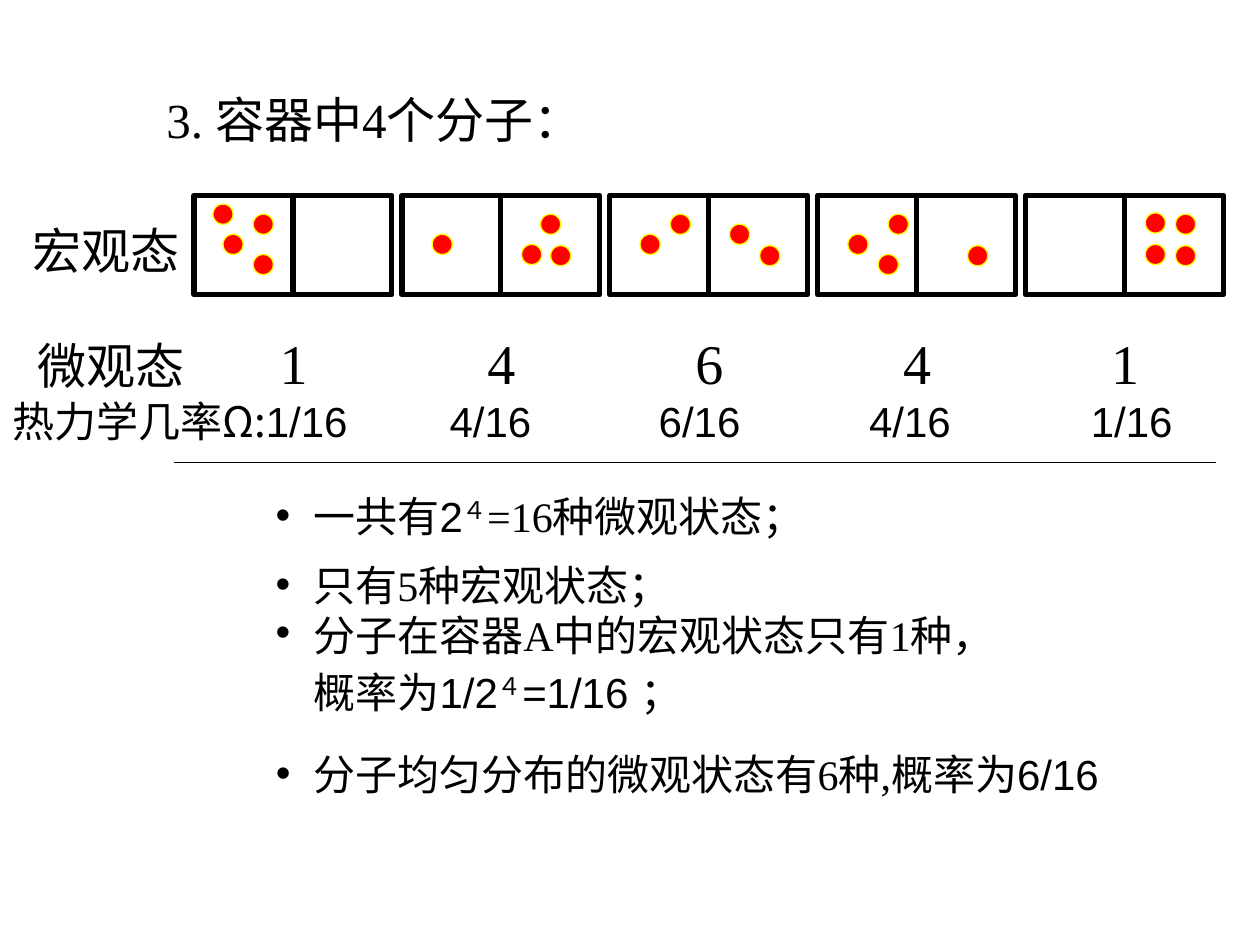
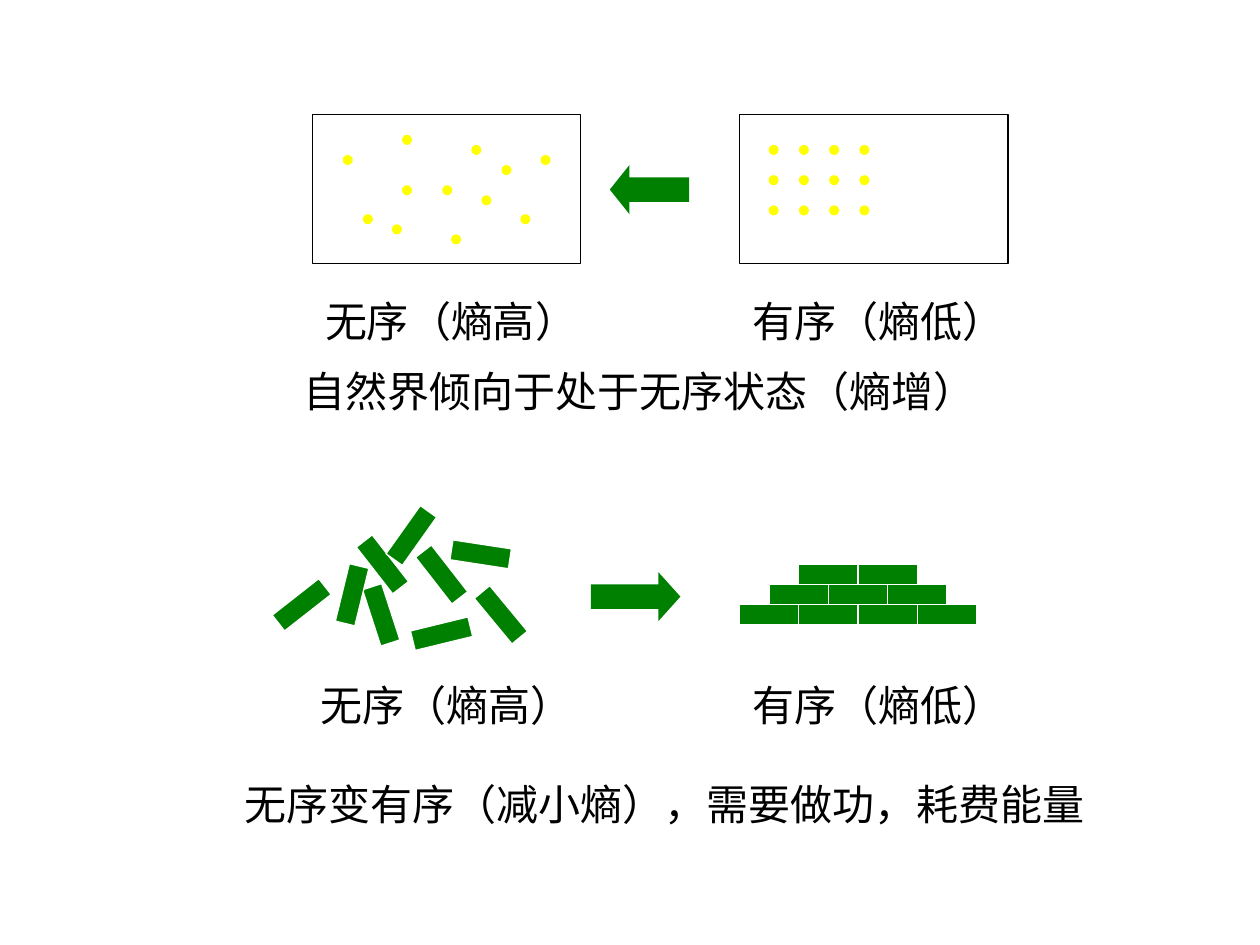
from lxml import etree
from pptx import Presentation
from pptx.dml.color import RGBColor
from pptx.enum.shapes import MSO_CONNECTOR, MSO_SHAPE as SHAPE
from pptx.enum.text import MSO_ANCHOR, MSO_AUTO_SIZE, PP_ALIGN
from pptx.oxml.ns import qn
from pptx.util import Inches, Pt

BLACK, WHITE, RED = "000000", "FFFFFF", "FF0000"
YELLOW, GREEN = "FFFF00", "008000"
TIMES, ARIAL, CJK = "Times New Roman", "Arial", "Noto Sans CJK SC"
LINE_SPACING = 1.3
TITLE_ONLY, BLANK = 5, 6

# Molecule offsets from the top left corner of each container
MACROSTATES = [
    [(0.15, 0.07), (0.23, 0.31), (0.47, 0.15), (0.47, 0.47)],
    [(0.24, 0.31), (1.10, 0.15), (0.95, 0.39), (1.18, 0.40)],
    [(0.24, 0.31), (0.48, 0.15), (0.95, 0.23), (1.19, 0.40)],
    [(0.24, 0.31), (0.56, 0.15), (0.48, 0.47), (1.19, 0.40)],
    [(0.95, 0.14), (1.19, 0.15), (0.95, 0.39), (1.19, 0.40)],
]
MICROSTATE_COUNTS = [1, 4, 6, 4, 1]
STATE_PITCH = 1.65

# Each bullet box: top, width, height, line spacing, paragraphs of runs
FINDINGS = [
    (3.72, 4.8, 0.62, 1.3, [[("一共有", TIMES), ("2", ARIAL), ("４", ARIAL, 30),
                             ("=16种微观状态；", TIMES)]]),
    (4.27, 4.8, 0.62, 1.3, [[("只有5种宏观状态；", TIMES)]]),
    (4.93, 6.3, 0.79, 0.6, [[("分子在容器A中的宏观状态只有1种，", TIMES)],
                            [("概率为1/2", ARIAL), ("４", ARIAL, 30),
                             ("=1/16 ", ARIAL), ("；", TIMES)]]),
    (5.77, 7.91, 0.62, 1.3, [[("分子均匀分布的微观状态有6种,", TIMES),
                              ("概率为6/16", ARIAL)]]),
]

DISORDERED = [("无序（熵高）", CJK)]
ORDERED = [("有序", CJK), ("（", ARIAL), ("熵低", CJK), ("）", ARIAL)]
SCATTERED_DOTS = [
    (2.72, 1.23), (2.88, 1.70), (3.19, 1.47), (3.74, 1.15), (3.51, 1.47), (4.13, 1.70),
    (3.19, 1.07), (3.98, 1.31), (3.82, 1.55), (3.11, 1.78), (3.58, 1.86), (4.29, 1.23),
]
# left, top, rotation
SCATTERED_BRICKS = [
    (2.16, 4.72, 321.9), (2.79, 4.80, 72), (3.27, 4.95, 346.3),
    (3.74, 4.80, 50.4), (2.56, 4.64, 283.7), (2.80, 4.40, 52.1),
    (3.58, 4.32, 8.7), (3.03, 4.17, 305.4), (3.27, 4.48, 52.1),
]
BRICK_W, BRICK_H = 0.47, 0.16


def rgb(value):
    return RGBColor.from_string(value)


def inches(*values):
    return [Inches(v) for v in values]


def add_run(p, size, text, font, baseline=0):
    r = p.add_run()
    r.text = text
    r.font.size = Pt(size)
    r.font.name = font
    r.font.color.rgb = rgb(BLACK)
    rPr = r.font._element
    if baseline:
        rPr.set("baseline", str(baseline * 1000))
    ea = etree.Element(qn("a:ea"), typeface=CJK)
    rPr.find(qn("a:latin")).addnext(ea)


def write_paragraph(p, runs, size, spacing=LINE_SPACING, align=PP_ALIGN.LEFT):
    p.line_spacing = spacing
    p.alignment = align
    for run in runs:
        add_run(p, size, *run)


def add_box(slide, at):
    tf = slide.shapes.add_textbox(*inches(*at)).text_frame
    tf.word_wrap = True
    return tf


def add_text(slide, at, runs, size=24, align=PP_ALIGN.LEFT):
    p = add_box(slide, at).paragraphs[0]
    write_paragraph(p, runs, size, align=align)
    return p


def add_title(slide, at, runs, size):
    sp = slide.shapes.title
    sp.left, sp.top, sp.width, sp.height = inches(*at)
    tf = sp.text_frame
    tf.vertical_anchor = MSO_ANCHOR.TOP
    tf.auto_size = MSO_AUTO_SIZE.NONE
    write_paragraph(tf.paragraphs[0], runs, size)


def set_indent(p, left, bullet):
    """Indent a paragraph, with a hanging bullet if asked."""
    pPr = p._p.get_or_add_pPr()
    pPr.set("marL", str(Inches(left)))
    pPr.set("indent", str(-Inches(left) if bullet else 0))
    if bullet:
        color = etree.SubElement(pPr, qn("a:buClr"))
        etree.SubElement(color, qn("a:srgbClr"), val=BLACK)
        etree.SubElement(pPr, qn("a:buFont"), typeface=ARIAL)
        etree.SubElement(pPr, qn("a:buChar"), char="•")


def set_tabs(p, positions):
    tabs = etree.SubElement(p._p.get_or_add_pPr(), qn("a:tabLst"))
    for pos in positions:
        etree.SubElement(tabs, qn("a:tab"), pos=str(Inches(pos)), algn="l")


def add_finding(slide, top, width, height, spacing, paragraphs):
    tf = add_box(slide, (2.09, top, width, height))
    for i, runs in enumerate(paragraphs):
        p = tf.add_paragraph() if i else tf.paragraphs[0]
        set_indent(p, 0.3, bullet=i == 0)
        if i:
            p.space_before = Pt(15)
        write_paragraph(p, runs, 24, spacing)


def add_shape(shapes, kind, at, fill=None, line=None, weight=0.75):
    sp = shapes.add_shape(kind, *inches(*at))
    sp.shadow.inherit = False
    if fill:
        sp.fill.solid()
        sp.fill.fore_color.rgb = rgb(fill)
    else:
        sp.fill.background()
    if line:
        sp.line.color.rgb = rgb(line)
        sp.line.width = Pt(weight)
    else:
        sp.line.fill.background()
    return sp


def add_line(shapes, start, end, weight):
    cxn = shapes.add_connector(MSO_CONNECTOR.STRAIGHT, *inches(*start, *end))
    cxn.line.color.rgb = rgb(BLACK)
    cxn.line.width = Pt(weight)
    etree.SubElement(cxn._element.spPr, qn("a:effectLst"))
    return cxn


def add_container(slide, left, top, molecules):
    """Draw a container split in two halves, with its molecules."""
    width, height = 1.57, 0.79
    group = slide.shapes.add_group_shape().shapes
    box = add_shape(group, SHAPE.RECTANGLE, (left, top, width, height), line=BLACK, weight=3)
    middle = left + width / 2
    divider = add_line(group, (middle, top), (middle, top + height), 3)
    divider.begin_connect(box, 0)
    divider.end_connect(box, 2)
    for dx, dy in molecules:
        add_shape(slide.shapes, SHAPE.OVAL, (left + dx, top + dy, 0.16, 0.16), RED, YELLOW)


def add_brick(group, left, top, rotation=0):
    sp = add_shape(group, SHAPE.RECTANGLE, (left, top, BRICK_W, BRICK_H), GREEN, WHITE)
    sp.rotation = rotation


def add_gas(slide, left, dots):
    """Draw a framed box with gas dots in it."""
    add_shape(slide.shapes, SHAPE.RECTANGLE, (left, 0.91, 2.13, 1.18), line=BLACK)
    for x, y in dots:
        add_shape(slide.shapes, SHAPE.OVAL, (x, y, 0.08, 0.08), YELLOW)


def add_arrow(slide, kind, at, head):
    sp = add_shape(slide.shapes, kind, at, GREEN)
    sp.adjustments[0], sp.adjustments[1] = 0.5, head


def build_macrostates(prs):
    slide = prs.slides.add_slide(prs.slide_layouts[TITLE_ONLY])
    add_title(slide, (1.22, 0.52, 7.1, 0.71), [("3. 容器中4个分子：", TIMES)], 28)

    add_text(slide, (0.16, 1.56, 1.65, 0.71), [("宏观态", TIMES)], 28)
    add_text(slide, (0.2, 2.47, 1.65, 0.71), [("微观态", TIMES)], 28)
    for i, (molecules, count) in enumerate(zip(MACROSTATES, MICROSTATE_COUNTS)):
        shift = i * STATE_PITCH
        add_container(slide, 1.54 + shift, 1.55, molecules)
        add_text(slide, (2.12 + shift, 2.4, 0.92, 0.8), [(str(count), TIMES)], 32)

    odds = "\t".join(f"{n}/16" for n in MICROSTATE_COUNTS)
    p = add_text(slide, (0, 2.97, 9.8, 0.62),
                 [("热力学几率", TIMES), ("Ω:", CJK), (odds, ARIAL)])
    set_tabs(p, [3.47, 5.13, 6.8, 8.56])
    add_line(slide.shapes, (1.38, 3.67), (9.65, 3.67), 0.75)

    for finding in FINDINGS:
        add_finding(slide, *finding)


def build_entropy(prs):
    slide = prs.slides.add_slide(prs.slide_layouts[BLANK])
    lattice = [(6.1 + 0.24 * col, 1.15 + 0.24 * row) for col in range(4) for row in range(3)]
    add_gas(slide, 2.48, SCATTERED_DOTS)
    add_gas(slide, 5.87, lattice)
    add_arrow(slide, SHAPE.LEFT_ARROW, (4.84, 1.31, 0.63, 0.39), 0.4)

    pile = slide.shapes.add_group_shape().shapes
    for brick in SCATTERED_BRICKS:
        add_brick(pile, *brick)
    wall = slide.shapes.add_group_shape().shapes
    for row, count in enumerate([4, 3, 2]):
        for col in range(count):
            add_brick(wall, 5.87 + BRICK_W * (col + row / 2), 4.8 - BRICK_H * row)
    add_arrow(slide, SHAPE.RIGHT_ARROW, (4.69, 4.54, 0.71, 0.39), 0.45)

    captions = [
        (2.40, 2.18, 2.36, DISORDERED),
        (5.71, 2.18, 2.52, ORDERED),
        (2.16, 2.73, 5.83, [("自然界倾向于处于无序状态（熵增）", CJK)]),
        (2.40, 5.22, 2.28, DISORDERED),
        (5.79, 5.22, 2.36, ORDERED),
        (1.77, 6.01, 7.01, [("无序变有序（减小熵），需要做功，耗费能量", CJK)]),
    ]
    for left, top, width, runs in captions:
        add_text(slide, (left, top, width, 0.62), runs, align=PP_ALIGN.CENTER)


def main():
    prs = Presentation()
    prs.slide_width, prs.slide_height = inches(10, 7.5)
    build_macrostates(prs)
    build_entropy(prs)
    prs.save("out.pptx")


if __name__ == "__main__":
    main()
